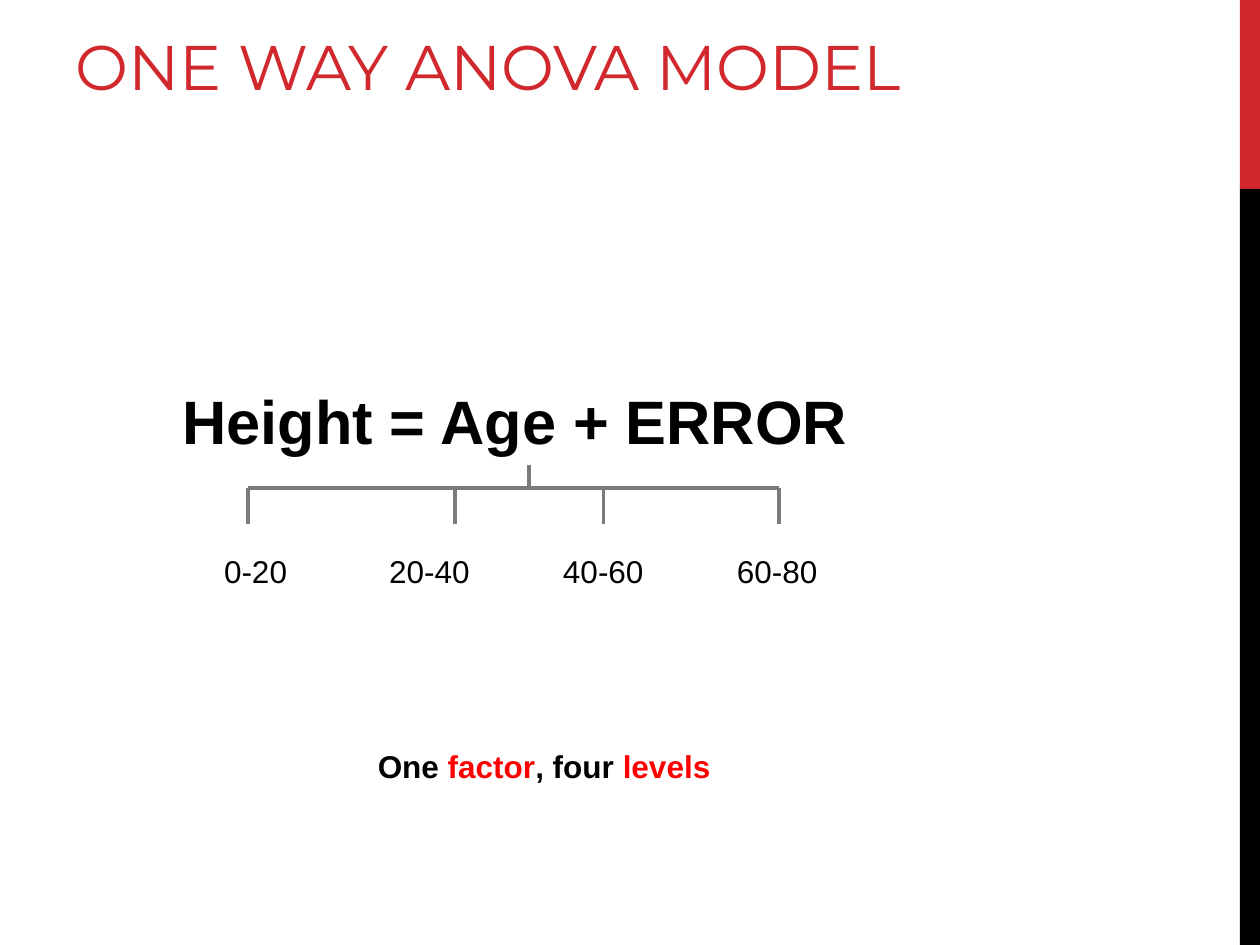
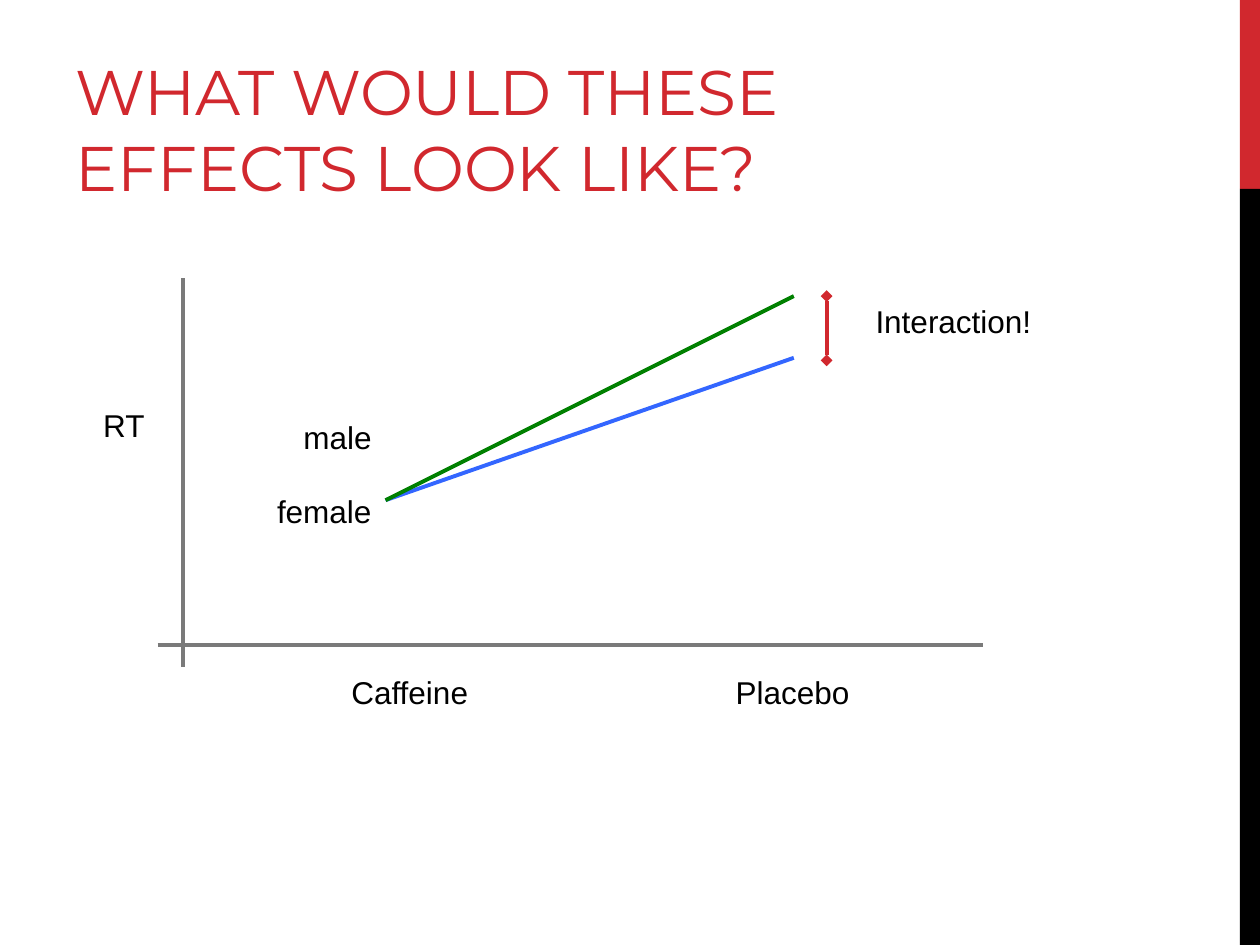
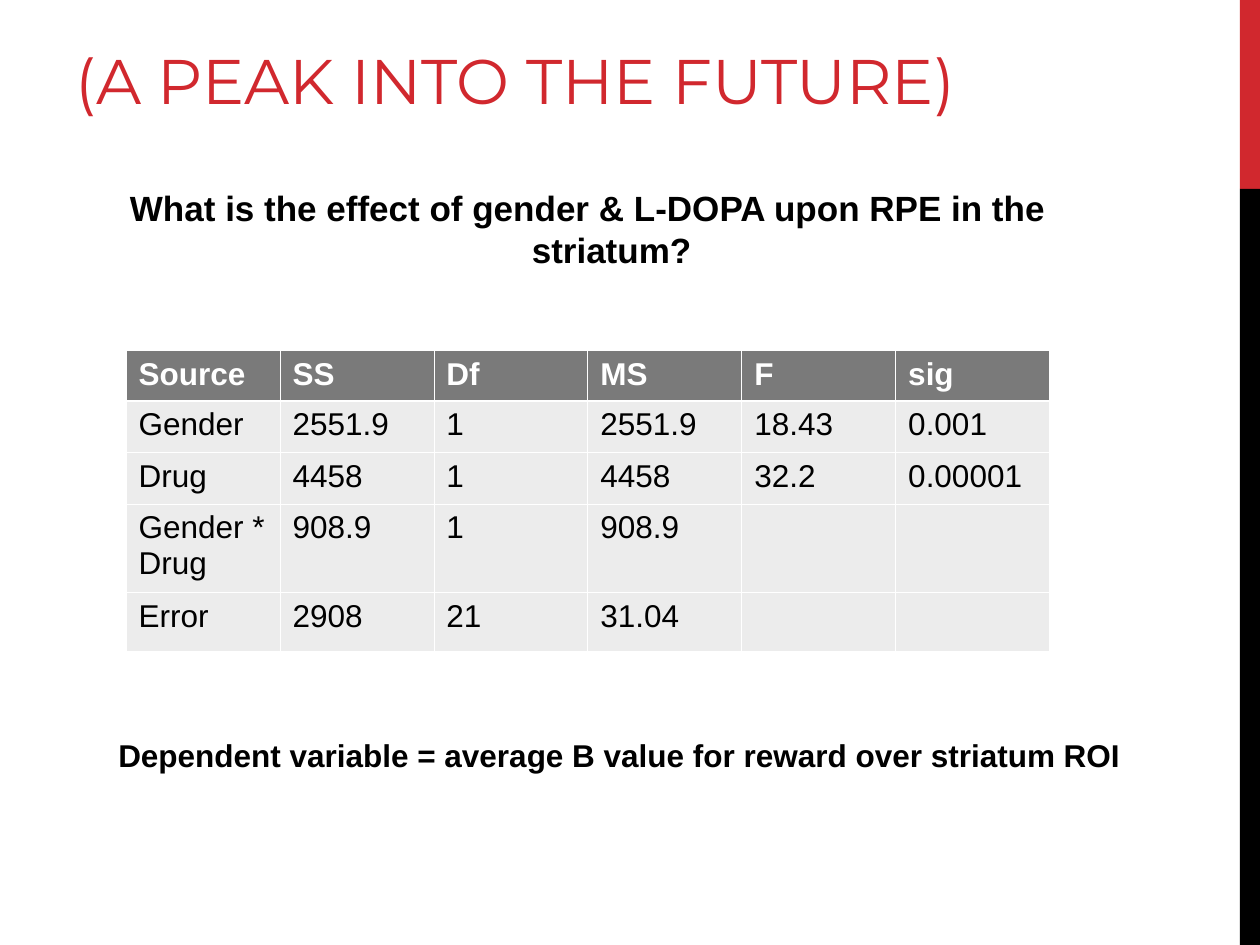
from dataclasses import dataclass, field
from typing import Any

from lxml.etree import SubElement
from pptx import Presentation
from pptx.dml.color import RGBColor
from pptx.enum.shapes import MSO_CONNECTOR, MSO_SHAPE
from pptx.enum.text import MSO_ANCHOR, MSO_AUTO_SIZE, PP_ALIGN
from pptx.oxml.ns import qn
from pptx.util import Inches, Pt


@dataclass(frozen=True)
class Theme:
    accent: str = "D1282E"
    ink: str = "000000"
    paper: str = "FFFFFF"
    gray: str = "7A7A7A"
    pale: str = "ECECEC"
    highlight: str = "FF0000"
    male: str = "008000"
    female: str = "3366FF"
    title_font: str = "Montserrat"
    text_font: str = "Arial"
    title_size: int = 36
    model_size: int = 35
    question_size: int = 20
    text_size: int = 18
    line_width: float = 2.25
    border: float = 0.45
    header_border: float = 1.47


def set_all(target, values):
    for name, value in values.items():
        setattr(target, name, value)


@dataclass
class Deck:
    """Holds the theme and the current slide, and adds elements to that slide."""

    prs: Any
    theme: Theme = field(default_factory=Theme)
    slide: Any = None

    def add_slide(self, title, width, height, anchor=MSO_ANCHOR.BOTTOM):
        self.slide = self.prs.slides.add_slide(self.prs.slide_layouts.get_by_name("Title Only"))
        heading = self.slide.shapes.title
        set_all(heading, {"left": Inches(0.5), "top": Inches(0.17),
                          "width": Inches(width), "height": Inches(height)})
        set_all(heading.text_frame, {"auto_size": MSO_AUTO_SIZE.NONE, "word_wrap": True,
                                     "vertical_anchor": anchor})
        paragraph = heading.text_frame.paragraphs[0]
        paragraph.alignment = PP_ALIGN.LEFT
        self.run(paragraph, title, self.theme.accent, self.theme.title_size,
                 font=self.theme.title_font)

    def master_band(self, top, height, color):
        """Draw a right-hand band and move it to the slide master."""
        band = self.slide.shapes.add_shape(MSO_SHAPE.RECTANGLE, Inches(9.84), Inches(top),
                                           Inches(0.16), Inches(height))
        band.shadow.inherit = False
        band.fill.solid()
        band.fill.fore_color.rgb = RGBColor.from_string(color)
        band.line.fill.background()
        self.prs.slide_master.shapes._spTree.append(band._element)

    def run(self, paragraph, text, color=None, size=None, bold=False, font=None):
        run = paragraph.add_run()
        run.text = text
        set_all(run.font, {"name": font or self.theme.text_font, "bold": bold,
                           "size": Pt(size or self.theme.text_size)})
        run.font.color.rgb = RGBColor.from_string(color or self.theme.ink)

    def text(self, parts, left, top, width, height=0.4, size=None, bold=False, wrap=False):
        """Add a text box; parts is a string or a list of (text, color) pairs."""
        box = self.slide.shapes.add_textbox(Inches(left), Inches(top),
                                            Inches(width), Inches(height))
        fit = MSO_AUTO_SIZE.NONE if size else MSO_AUTO_SIZE.SHAPE_TO_FIT_TEXT
        set_all(box.text_frame, {"word_wrap": wrap, "auto_size": fit})
        paragraph = box.text_frame.paragraphs[0]
        for text, color in [(parts, None)] if isinstance(parts, str) else parts:
            self.run(paragraph, text, color, size, bold)
        return paragraph

    def line(self, start, end, color=None, ends=None):
        connector = self.slide.shapes.add_connector(
            MSO_CONNECTOR.STRAIGHT, *map(Inches, (*start, *end)))
        connector.line.color.rgb = RGBColor.from_string(color or self.theme.gray)
        connector.line.width = Pt(self.theme.line_width)
        if ends:
            for tag in ("a:headEnd", "a:tailEnd"):
                SubElement(connector.line._get_or_add_ln(), qn(tag), type=ends)
        SubElement(connector._element.spPr, qn("a:effectLst"))

    def cell_borders(self, cell, widths):
        for side, width in widths.items():
            border = SubElement(cell._tc.get_or_add_tcPr(), qn(f"a:ln{side}"),
                                w=str(int(Pt(width))))
            SubElement(SubElement(border, qn("a:solidFill")), qn("a:srgbClr"),
                       val=self.theme.paper)

    def table(self, rows, left, top, width, row_heights):
        theme = self.theme
        table = self.slide.shapes.add_table(
            len(rows), len(rows[0]), Inches(left), Inches(top),
            Inches(width), Inches(sum(row_heights))).table
        for r, (values, height) in enumerate(zip(rows, row_heights)):
            table.rows[r].height = Inches(height)
            header = r == 0
            for c, value in enumerate(values):
                cell = table.cell(r, c)
                self.cell_borders(cell, {
                    "L": theme.border, "R": theme.border,
                    "T": theme.header_border if r == 1 else theme.border,
                    "B": theme.header_border if header else theme.border})
                cell.fill.solid()
                cell.fill.fore_color.rgb = RGBColor.from_string(
                    theme.gray if header else theme.pale)
                if value:
                    self.run(cell.text_frame.paragraphs[0], value,
                             theme.paper if header else theme.ink, bold=header)


def one_way_model(deck):
    theme = deck.theme
    deck.add_slide("ONE WAY ANOVA MODEL", 8.47, 1.31, MSO_ANCHOR.TOP)
    model = deck.text("Height = Age + ERROR", 1.35, 2.99, 8.33, 1.34,
                      theme.model_size, bold=True, wrap=True)
    set_all(model, {"space_before": Pt(8.8), "space_after": Pt(6)})
    deck.text([("One ", theme.ink), ("factor", theme.highlight),
               (", four ", theme.ink), ("levels", theme.highlight)],
              2.9, 5.88, 2.84, bold=True)

    branch_y = 3.87
    levels = [("0-20", 1.97, 1.68, 0.7), ("20-40", 3.61, 2.99, 0.84),
              ("40-60", 4.79, 4.37, 0.84), ("60-80", 6.18, 5.75, 0.84)]
    deck.line((4.2, 3.69), (4.2, branch_y))
    deck.line((levels[0][1], branch_y), (levels[-1][1], branch_y))
    for ages, tick_x, label_left, label_width in levels:
        deck.line((tick_x, branch_y), (tick_x, 4.16))
        deck.text(ages, label_left, 4.33, label_width)


def interaction_plot(deck):
    theme = deck.theme
    deck.add_slide("WHAT WOULD THESE EFFECTS LOOK LIKE?", 6.33, 1.5)
    deck.line((1.45, 2.21), (1.45, 5.29))
    deck.line((1.25, 5.12), (7.8, 5.12))

    caffeine, placebo_x, male_y, female_y = (3.06, 3.97), 6.3, 2.35, 2.84
    deck.line(caffeine, (placebo_x, female_y), theme.female)
    deck.line((6.56, male_y), (6.56, 2.86), theme.accent, ends="diamond")
    deck.line(caffeine, (placebo_x, male_y), theme.male)

    for label, left, top, width in [
            ("RT", 0.72, 3.17, 0.53), ("Caffeine", 2.69, 5.29, 1.13),
            ("Placebo", 5.74, 5.29, 1.1), ("Interaction!", 6.85, 2.35, 1.48),
            ("male", 2.31, 3.27, 0.74), ("female", 2.1, 3.86, 0.95)]:
        deck.text(label, left, top, width)


def anova_table(deck):
    deck.add_slide("(A PEAK INTO THE FUTURE)", 8.47, 0.81)
    question = deck.text("What is the effect of gender & L-DOPA upon RPE in the striatum?",
                         0.5, 1.43, 8.33, 0.86, deck.theme.question_size,
                         bold=True, wrap=True)
    set_all(question, {"alignment": PP_ALIGN.CENTER, "space_before": Pt(5),
                       "space_after": Pt(6)})
    hanging = Inches(0.38)
    indents = question._p.get_or_add_pPr()
    indents.set("marL", str(hanging))
    indents.set("indent", str(-hanging))

    deck.table([
        ("Source", "SS", "Df", "MS", "F", "sig"),
        ("Gender", "2551.9", "1", "2551.9", "18.43", "0.001"),
        ("Drug", "4458", "1", "4458", "32.2", "0.00001"),
        ("Gender * Drug", "908.9", "1", "908.9", "", ""),
        ("Error", "2908", "21", "31.04", "", ""),
    ], 1, 2.78, 7.33, (0.4, 0.41, 0.41, 0.7, 0.47))
    deck.text("Dependent variable = average B value for reward over striatum ROI",
              0.84, 5.79, 8.41, bold=True, wrap=True)


def main():
    prs = Presentation()
    set_all(prs, {"slide_width": Inches(10), "slide_height": Inches(7.5)})
    deck = Deck(prs)
    one_way_model(deck)
    deck.master_band(0, 1.5, deck.theme.accent)
    deck.master_band(1.5, 6, deck.theme.ink)
    interaction_plot(deck)
    anova_table(deck)
    prs.save("out.pptx")


if __name__ == "__main__":
    main()
